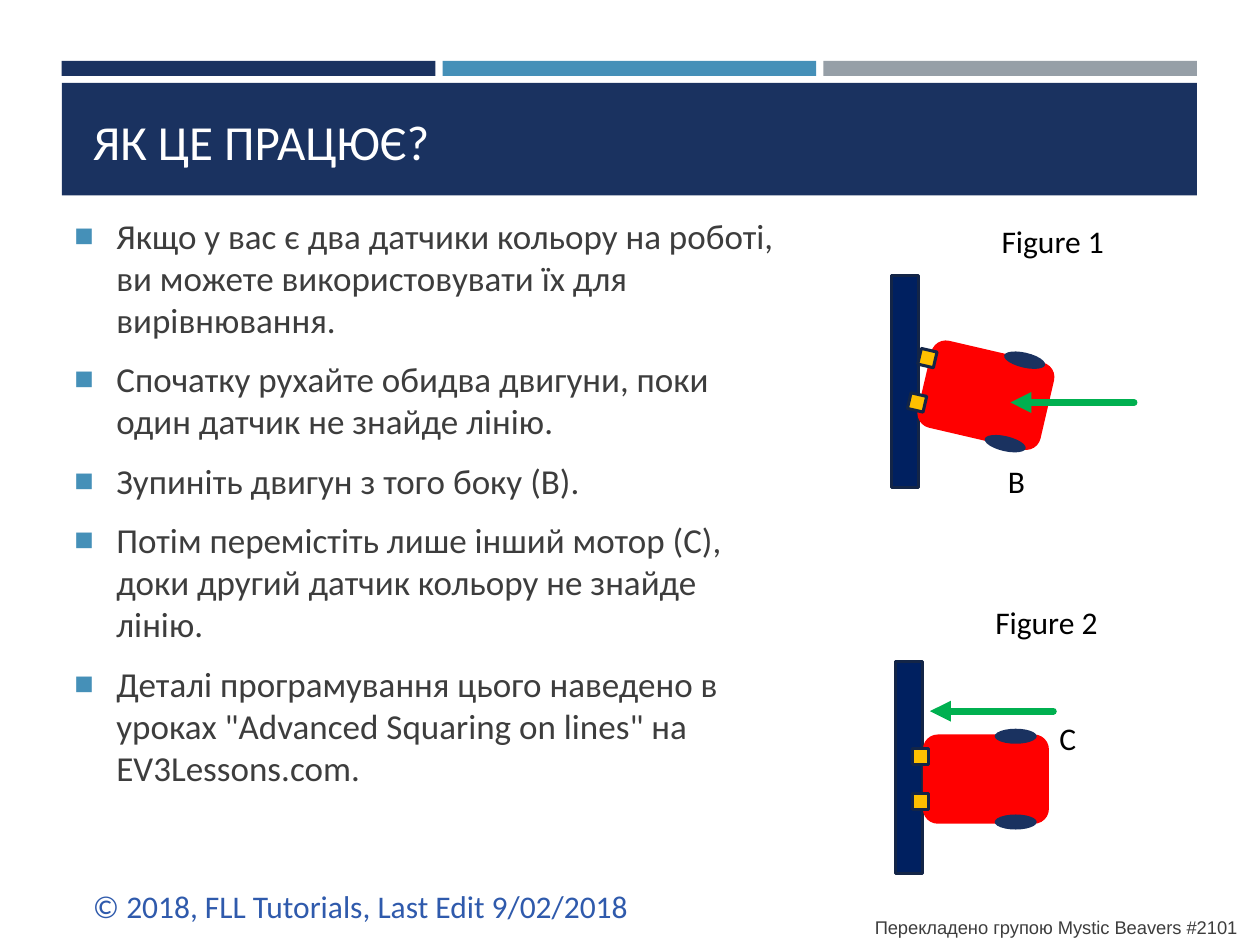
from dataclasses import dataclass
from math import cos, radians, sin

from lxml.etree import SubElement
from pptx import Presentation
from pptx.dml.color import RGBColor
from pptx.enum.shapes import MSO_CONNECTOR, MSO_SHAPE
from pptx.enum.text import MSO_ANCHOR, MSO_AUTO_SIZE, PP_ALIGN
from pptx.oxml.ns import qn
from pptx.util import Pt


@dataclass(frozen=True)
class Theme:
    navy: str = "1A3260"
    blue: str = "4590B8"
    grey: str = "969FA7"
    white: str = "FFFFFF"
    black: str = "000000"
    text: str = "3D3D3D"
    link: str = "2F5AAC"
    tape: str = "002060"
    edge: str = "132547"
    red: str = "FF0000"
    gold: str = "FFC000"
    green: str = "00B050"
    font: str = "Calibri"
    small: str = "Arial"
    head: float = 28
    body: float = 20
    label: float = 18
    note: float = 10.5


class Deck:
    def __init__(self, theme):
        self.theme = theme
        self.prs = Presentation()
        self.prs.slide_width, self.prs.slide_height = Pt(720), Pt(540)
        self.slide = self.prs.slides.add_slide(self.prs.slide_layouts[1])

    def style(self, para, size, color, font=None):
        para.font.name = font or self.theme.font
        para.font.size = Pt(size)
        para.font.color.rgb = RGBColor.from_string(color)

    def place(self, holder, x, y, w, h):
        """Set the box of a placeholder and bring it to the front."""
        holder.left, holder.top = Pt(x), Pt(y)
        holder.width, holder.height = Pt(w), Pt(h)
        holder.element.getparent().append(holder.element)
        frame = holder.text_frame
        frame.auto_size = MSO_AUTO_SIZE.NONE
        return frame

    def title(self, text, *box):
        frame = self.place(self.slide.shapes.title, *box)
        frame.vertical_anchor = MSO_ANCHOR.BOTTOM
        frame.text = text
        para = frame.paragraphs[0]
        para.alignment = PP_ALIGN.LEFT
        self.style(para, self.theme.head, self.theme.white)

    def bullets(self, items, *box):
        frame = self.place(self.slide.placeholders[1], *box)
        frame.vertical_anchor = MSO_ANCHOR.TOP
        for i, item in enumerate(items):
            para = frame.paragraphs[0] if i == 0 else frame.add_paragraph()
            para.text = item
            props = para._p.get_or_add_pPr()
            props.set("marL", str(Pt(24)))
            props.set("indent", str(-Pt(24)))
            tint = SubElement(props, qn("a:buClr"))
            SubElement(tint, qn("a:srgbClr"), val=self.theme.blue)
            SubElement(props, qn("a:buSzPct"), val="92000")
            SubElement(props, qn("a:buFont"), typeface=self.theme.small)
            SubElement(props, qn("a:buChar"), char="■")
            para.space_before = Pt(4 if i else 0)
            para.space_after = Pt(6)
            self.style(para, self.theme.body, self.theme.text)

    def text(self, text, x, y, w, h, size, color, font=None,
             align=PP_ALIGN.LEFT):
        box = self.slide.shapes.add_textbox(Pt(x), Pt(y), Pt(w), Pt(h))
        box.text_frame.word_wrap = True
        box.text_frame.text = text
        para = box.text_frame.paragraphs[0]
        para.alignment = align
        self.style(para, size, color, font)

    def label(self, text, x, y, w, align=PP_ALIGN.LEFT):
        self.text(text, x, y, w, 29, self.theme.label, self.theme.black,
                  align=align)

    def shape(self, kind, x, y, w, h, fill, edge=None, turn=0, home=None):
        home = home or self.slide.shapes
        shape = home.add_shape(kind, Pt(x), Pt(y), Pt(w), Pt(h))
        shape.shadow.inherit = False
        shape.rotation = turn
        shape.fill.solid()
        shape.fill.fore_color.rgb = RGBColor.from_string(fill)
        if edge:
            shape.line.color.rgb = RGBColor.from_string(edge)
            shape.line.width = Pt(1.75)
        else:
            shape.line.fill.background()

    def bar(self, x, y, w, h, fill, edge=None):
        self.shape(MSO_SHAPE.RECTANGLE, x, y, w, h, fill, edge)

    def robot(self, x, y, turn=0):
        """Group a robot around the middle of its body, turned clockwise."""
        t = self.theme
        home = self.slide.shapes.add_group_shape().shapes
        c, s = cos(radians(turn)), sin(radians(turn))

        def part(kind, dx, dy, w, h, fill, edge=None, base=0):
            px, py = x + dx * c - dy * s, y + dx * s + dy * c
            self.shape(kind, px - w / 2, py - h / 2, w, h, fill, edge,
                       (base + turn) % 360, home)

        part(MSO_SHAPE.ROUNDED_RECTANGLE, 0, 0, 51, 72, t.red, base=270)
        for side in (1, -1):
            part(MSO_SHAPE.OVAL, 17, side * 24.5, 8.6, 24, t.navy, base=270)
        for side in (1, -1):
            part(MSO_SHAPE.RECTANGLE, -37.4, side * 13, 9.2, 9.2,
                 t.gold, t.edge)

    def arrow(self, x1, x2, y):
        line = self.slide.shapes.add_connector(
            MSO_CONNECTOR.STRAIGHT, Pt(x1), Pt(y), Pt(x2), Pt(y))
        line.line.color.rgb = RGBColor.from_string(self.theme.green)
        line.line.width = Pt(4)
        stroke = line.line._get_or_add_ln()
        stroke.set("cap", "rnd")
        SubElement(stroke, qn("a:tailEnd"), type="triangle")
        SubElement(line._element.spPr, qn("a:effectLst"))


def main():
    t = Theme()
    deck = Deck(t)

    # Header bands
    for i, fill in enumerate((t.navy, t.blue, t.grey)):
        deck.bar(35.3 + i * 217.6, 34.8, 213.5, 8.6, fill)
    deck.bar(35.3, 47.4, 648.7, 64.2, t.navy)

    # Title and list
    deck.title("ЯК ЦЕ ПРАЦЮЄ?", 46, 54, 629, 47)
    deck.bullets([
        "Якщо у вас є два датчики кольору на роботі, ви можете "
        "використовувати їх для вирівнювання.",
        "Спочатку рухайте обидва двигуни, поки один датчик не знайде лінію.",
        "Зупиніть двигун з того боку (B).",
        "Потім перемістіть лише інший мотор (C), доки другий датчик кольору "
        "не знайде лінію.",
        "Деталі програмування цього наведено в уроках "
        "\"Advanced Squaring on lines\" на EV3Lessons.com.",
    ], 35.3, 118.8, 416, 343)

    # Figure 1: robot meets the line at an angle
    deck.label("Figure 1", 560.9, 123.1, 81.4, PP_ALIGN.CENTER)
    deck.bar(509.4, 157.7, 15.3, 121, t.tape, t.edge)
    deck.robot(563.4, 225.8, 13.1)
    deck.label("B", 568.8, 260.6, 18)
    deck.arrow(648, 577.4, 230)

    # Figure 2: robot is square to the line
    deck.label("Figure 2", 557.3, 341.3, 81.4, PP_ALIGN.CENTER)
    deck.bar(511.9, 378, 15.3, 121, t.tape, t.edge)
    deck.robot(563.4, 445.2)
    deck.label("C", 598.3, 407.5, 18)
    deck.arrow(601.9, 531.4, 406.4)

    # Footer
    deck.text("© 2018, FLL Tutorials, Last Edit 9/02/2018",
              46, 503.3, 384, 29, t.label, t.link)
    deck.text("Перекладено групою Mystic Beavers #2101",
              477.4, 519.8, 237, 23, t.note, t.text, t.small, PP_ALIGN.RIGHT)

    deck.prs.save("out.pptx")


if __name__ == "__main__":
    main()
